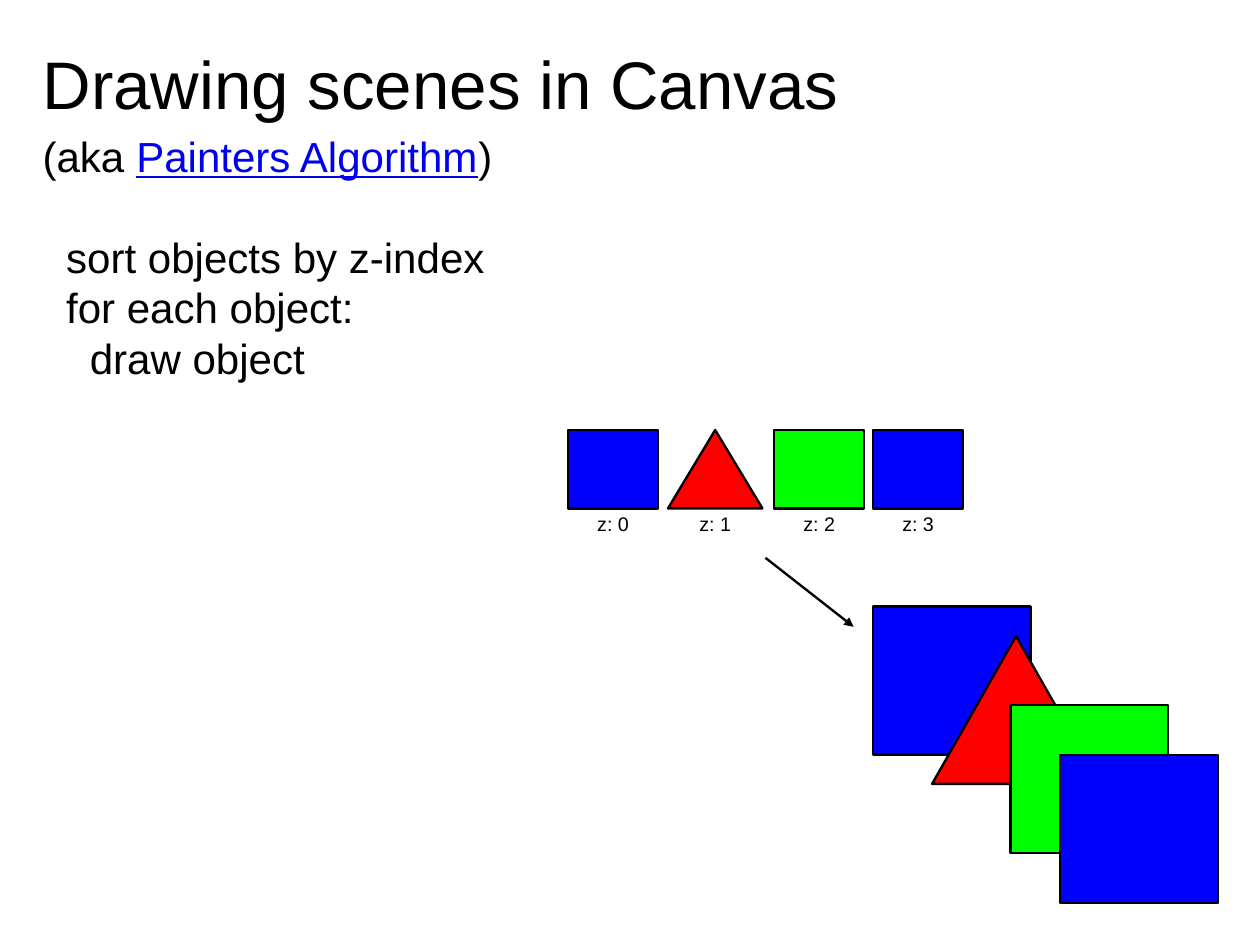
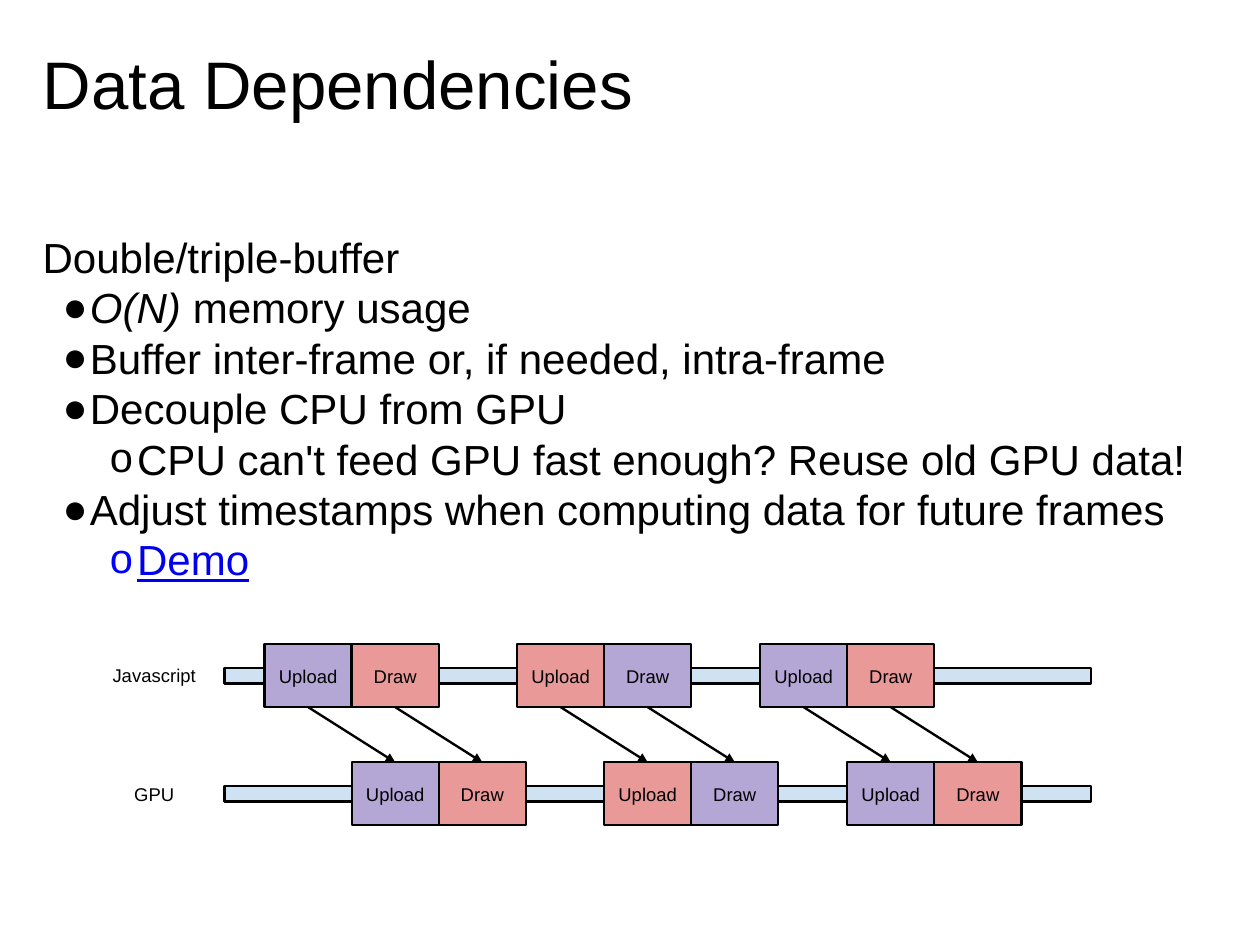
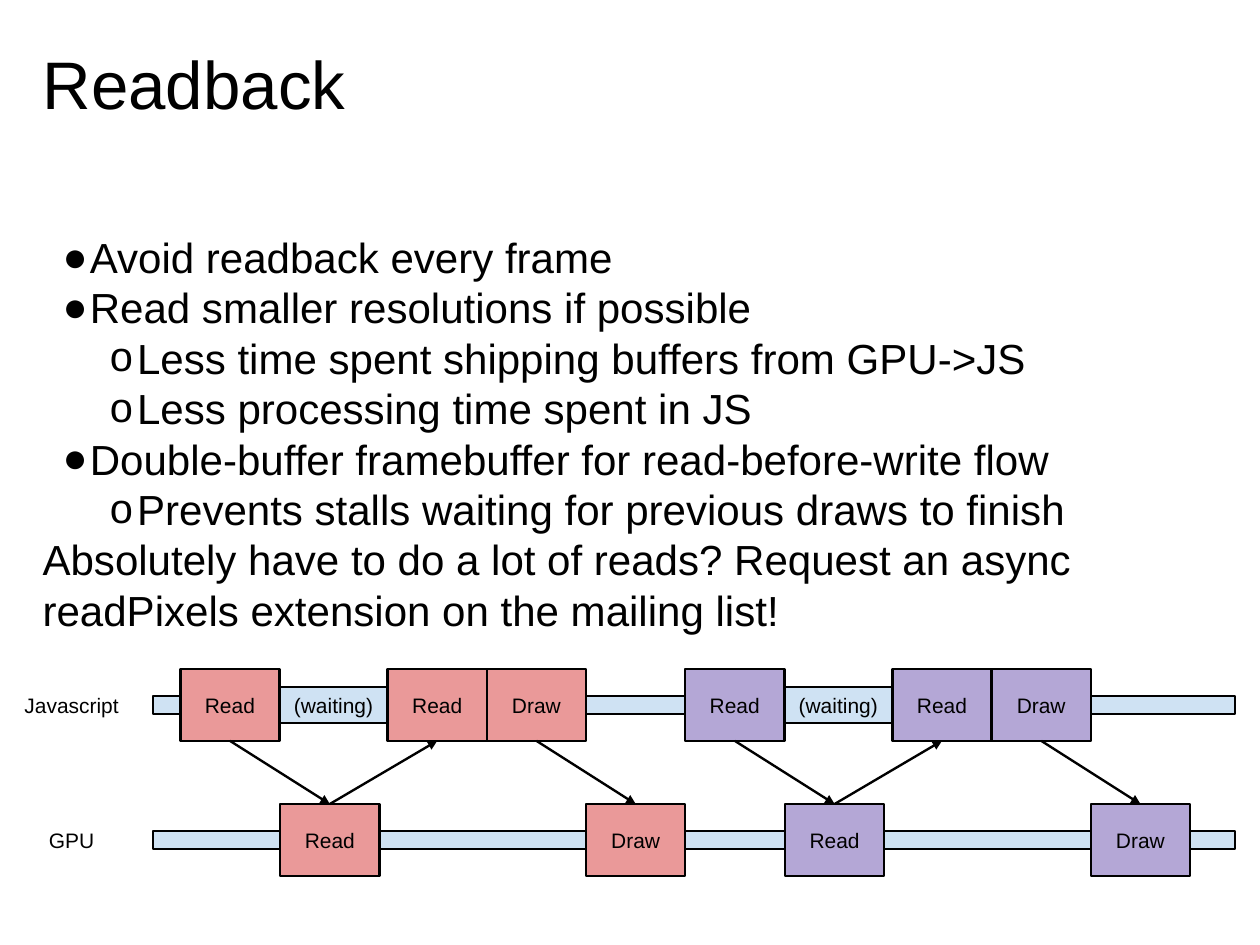
from lxml import etree
from pptx import Presentation
from pptx.dml.color import RGBColor
from pptx.enum.shapes import MSO_CONNECTOR, MSO_SHAPE
from pptx.enum.text import MSO_ANCHOR, PP_ALIGN
from pptx.oxml.ns import qn
from pptx.util import Pt

RECTANGLE = MSO_SHAPE.RECTANGLE
TRIANGLE = MSO_SHAPE.ISOSCELES_TRIANGLE
STRAIGHT = MSO_CONNECTOR.STRAIGHT
MIDDLE, TOP = MSO_ANCHOR.MIDDLE, MSO_ANCHOR.TOP
CENTER, LEFT = PP_ALIGN.CENTER, PP_ALIGN.LEFT
BOTTOM_SIDE, TOP_SIDE = 2, 0

COLORS = {
    "black": "000000", "link": "0000EE", "blue": "0000FF", "red": "FF0000",
    "green": "00FF00", "rail": "CFE2F3", "purple": "B4A7D6", "pink": "EA9999",
}


def color(name):
    return RGBColor.from_string(COLORS[name])


class Deck:
    """Holds the shared style and the current slide, and draws each kind of element."""

    font = "Arial"
    line_width = 1.5
    text_left, text_width = 24, 758
    title_size, body_size = 42.7, 26.7
    leading = 1.2
    bullets = {1: "●", 2: "o"}
    level_indent, hanging = 30, 17.3

    def __init__(self):
        self.presentation = Presentation()
        self.presentation.slide_width = Pt(800)
        self.presentation.slide_height = Pt(600)
        self.slide = None

    def new_slide(self, title):
        self.slide = self.presentation.slides.add_slide(self.presentation.slide_layouts[6])
        self.text(24, 78, [(0, title)], self.title_size)

    def run(self, paragraph, text, size, style=""):
        run = paragraph.add_run()
        run.text = text
        font = run.font
        font.name, font.size = self.font, Pt(size)
        font.color.rgb = color("link" if style == "link" else "black")
        if style == "link":
            font.underline = True
        if style == "italic":
            font.italic = True

    def frame(self, shape, inset, anchor):
        frame = shape.text_frame
        frame.word_wrap = True
        frame.vertical_anchor = anchor
        frame.margin_left = frame.margin_right = Pt(inset)
        frame.margin_top = frame.margin_bottom = Pt(inset)
        return frame

    def indent(self, paragraph, left, first=0):
        properties = paragraph._p.get_or_add_pPr()
        properties.set("marL", str(Pt(left)))
        properties.set("indent", str(Pt(first)))
        return properties

    def bullet(self, paragraph, level, bullet_color):
        properties = self.indent(paragraph, level * self.level_indent, -self.hanging)
        properties.set("lvl", str(level - 1))
        fill = etree.SubElement(properties, qn("a:buClr"))
        etree.SubElement(fill, qn("a:srgbClr"), val=COLORS[bullet_color])
        etree.SubElement(properties, qn("a:buSzPct"), val="99000")
        etree.SubElement(properties, qn("a:buFont"), typeface=self.font)
        etree.SubElement(properties, qn("a:buChar"), char=self.bullets[level])

    def text(self, top, height, lines, size=body_size, step=0):
        shape = self.slide.shapes.add_textbox(
            Pt(self.text_left), Pt(top), Pt(self.text_width), Pt(height))
        frame = self.frame(shape, 3, TOP)
        for index, (level, *runs) in enumerate(lines):
            paragraph = frame.add_paragraph() if index else frame.paragraphs[0]
            runs = [run if isinstance(run, tuple) else (run, "") for run in runs]
            if level and step:
                self.indent(paragraph, level * step)
            elif level:
                self.bullet(paragraph, level, "blue" if runs[0][1] == "link" else "black")
            paragraph.alignment = LEFT
            paragraph.line_spacing = Pt(round(size * self.leading, 1))
            for content, style in runs:
                self.run(paragraph, content, size, style)

    def caption(self, shape, text, size):
        paragraph = self.frame(shape, 7.2, MIDDLE).paragraphs[0]
        paragraph.alignment = CENTER
        self.run(paragraph, text, size)

    def label(self, left, top, width, height, text, size):
        shape = self.slide.shapes.add_textbox(Pt(left), Pt(top), Pt(width), Pt(height))
        self.caption(shape, text, size)

    def shape(self, left, top, width, height, fill, text="", size=12, kind=RECTANGLE):
        shape = self.slide.shapes.add_shape(kind, Pt(left), Pt(top), Pt(width), Pt(height))
        shape.shadow.inherit = False
        shape.fill.solid()
        shape.fill.fore_color.rgb = color(fill)
        shape.line.color.rgb = color("black")
        shape.line.width = Pt(self.line_width)
        if text:
            self.caption(shape, text, size)
        return shape

    def arrow(self, x1=0, y1=0, x2=0, y2=0):
        connector = self.slide.shapes.add_connector(STRAIGHT, Pt(x1), Pt(y1), Pt(x2), Pt(y2))
        connector.line.color.rgb = color("black")
        connector.line.width = Pt(self.line_width)
        properties = connector._element.spPr
        etree.SubElement(properties.get_or_add_ln(), qn("a:tailEnd"), type="triangle")
        etree.SubElement(properties, qn("a:effectLst"))
        return connector

    def join(self, source, source_side, target, target_side):
        connector = self.arrow()
        connector.begin_connect(source, source_side)
        connector.end_connect(target, target_side)

    def lane(self, name, size, middle, label_left, rail_left, rail_width, thickness):
        self.label(label_left, middle - 15, rail_left - label_left, 30, name, size)
        self.shape(rail_left, middle - thickness / 2, rail_width, thickness, "rail")


def painters_slide(deck):
    deck.new_slide("Drawing scenes in Canvas")
    deck.text(144, 438, [(1, "sort objects by z-index"), (1, "for each object:"),
                         (2, "draw object")], step=15)
    deck.text(80, 43, [(0, "(aka ", ("Painters Algorithm", "link"), ")")])
    objects = [
        ("blue", RECTANGLE, 360.7, 57, 554.4, 385.2, 100),
        ("red", TRIANGLE, 424.1, 60, 591.8, 403.9, 106.6),
        ("green", RECTANGLE, 491.6, 57, 641.5, 447.8, 100),
        ("blue", RECTANGLE, 554.4, 57, 673.2, 479.5, 100),
    ]
    for z, (fill, kind, left, width, scene_left, scene_top, scene_width) in enumerate(objects):
        deck.shape(left, 273, width, 49.8, fill, kind=kind)
        deck.label(left, 323, width, 18.7, f"z: {z}", 12.5)
        deck.shape(scene_left, scene_top, scene_width, 93.8, fill, kind=kind)
    deck.arrow(486, 354.2, 542, 398)


def dependencies_slide(deck):
    deck.new_slide("Data Dependencies")
    deck.text(144, 438, [
        (0, "Double/triple-buffer"),
        (1, ("O(N) ", "italic"), "memory usage"),
        (1, "Buffer inter-frame or, if needed, intra-frame"),
        (1, "Decouple CPU from GPU"),
        (2, "CPU can't feed GPU fast enough? Reuse old GPU data!"),
        (1, "Adjust timestamps when computing data for future frames"),
        (2, ("Demo", "link")),
    ])
    size, width, height = 11.7, 55.3, 40
    script_middle, gpu_middle = 429, 504
    for name, middle in (("Javascript", script_middle), ("GPU", gpu_middle)):
        deck.lane(name, size, middle, 53.3, 142.6, 550, 10)
    frames = [(168, "purple", "pink"), (328.3, "pink", "purple"), (482.6, "purple", "pink")]
    for frame_left, *fills in frames:
        for index, (text, fill) in enumerate(zip(("Upload", "Draw"), fills)):
            left = frame_left + index * width
            script, gpu = [
                deck.shape(x, middle - height / 2, width, height, fill, text, size)
                for x, middle in ((left, script_middle), (left + width, gpu_middle))]
            deck.join(script, BOTTOM_SIDE, gpu, TOP_SIDE)


def readback_slide(deck):
    deck.new_slide("Readback")
    deck.text(144, 438, [
        (1, "Avoid readback every frame"),
        (1, "Read smaller resolutions if possible"),
        (2, "Less time spent shipping buffers from GPU->JS"),
        (2, "Less processing time spent in JS"),
        (1, "Double-buffer framebuffer for read-before-write flow"),
        (2, "Prevents stalls waiting for previous draws to finish"),
        (0, "Absolutely have to do a lot of reads? Request an async "
            "readPixels extension on the mailing list!"),
    ])
    size, width, height = 13.3, 63, 45.6
    script_middle, gpu_middle = 447.6, 533.3
    for name, middle in (("Javascript", script_middle), ("GPU", gpu_middle)):
        deck.lane(name, size, middle, -6, 97, 687, 11.6)
    steps = [("Read", 0, script_middle), ("Read", 63.4, gpu_middle),
             ("Read", 131.6, script_middle), ("Draw", 194.6, script_middle),
             ("Draw", 257.6, gpu_middle)]
    for frame_left, fill in ((114.5, "pink"), (435, "purple")):
        deck.shape(frame_left + width, script_middle - 11.5, 68.6, 23, "rail", "(waiting)", size)
        request, fetch, result, draw, paint = [
            deck.shape(frame_left + offset, middle - height / 2, width, height, fill, text, size)
            for text, offset, middle in steps]
        deck.join(request, BOTTOM_SIDE, fetch, TOP_SIDE)
        deck.join(fetch, TOP_SIDE, result, BOTTOM_SIDE)
        deck.join(draw, BOTTOM_SIDE, paint, TOP_SIDE)


def main():
    deck = Deck()
    painters_slide(deck)
    dependencies_slide(deck)
    readback_slide(deck)
    deck.presentation.save("out.pptx")


if __name__ == "__main__":
    main()
